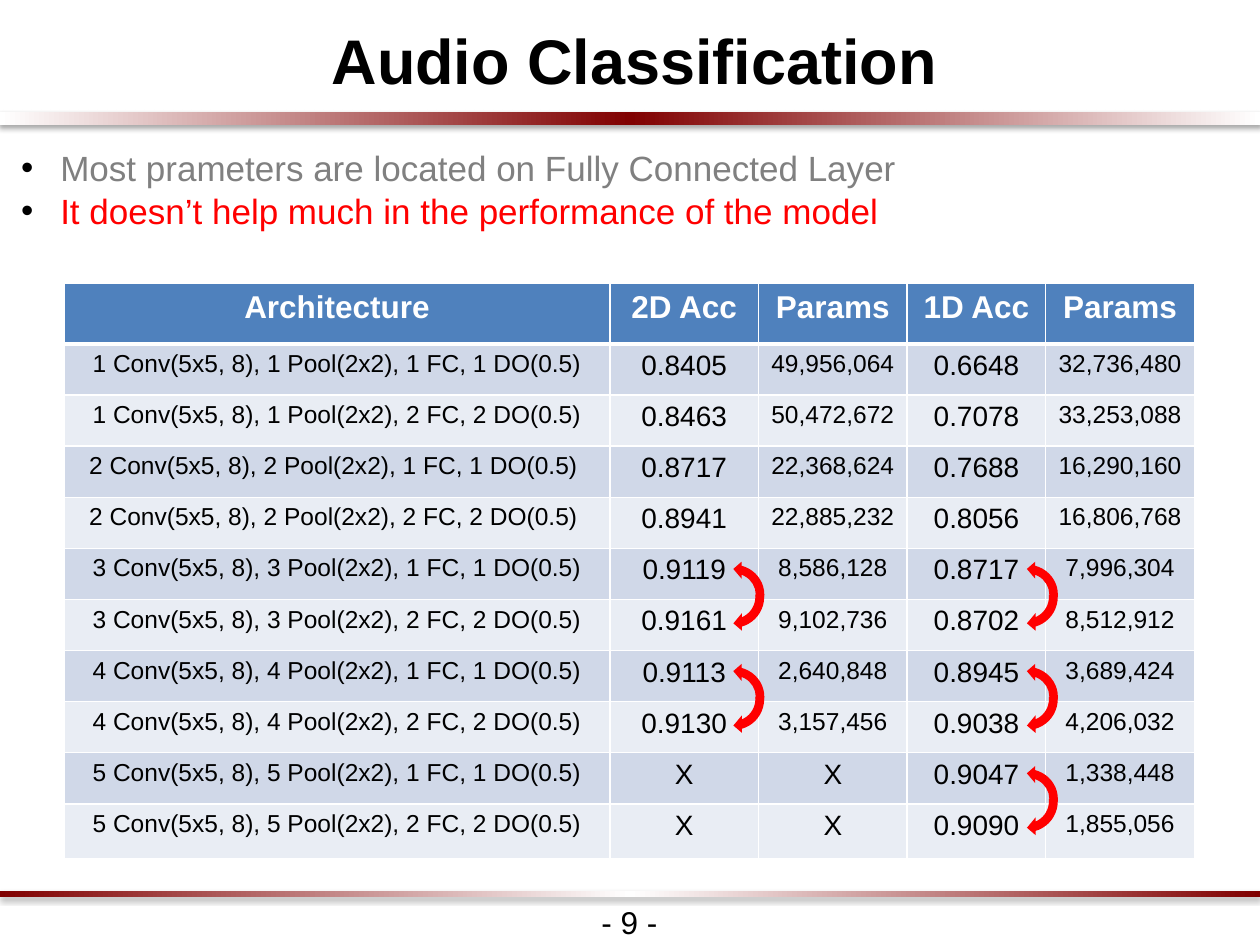
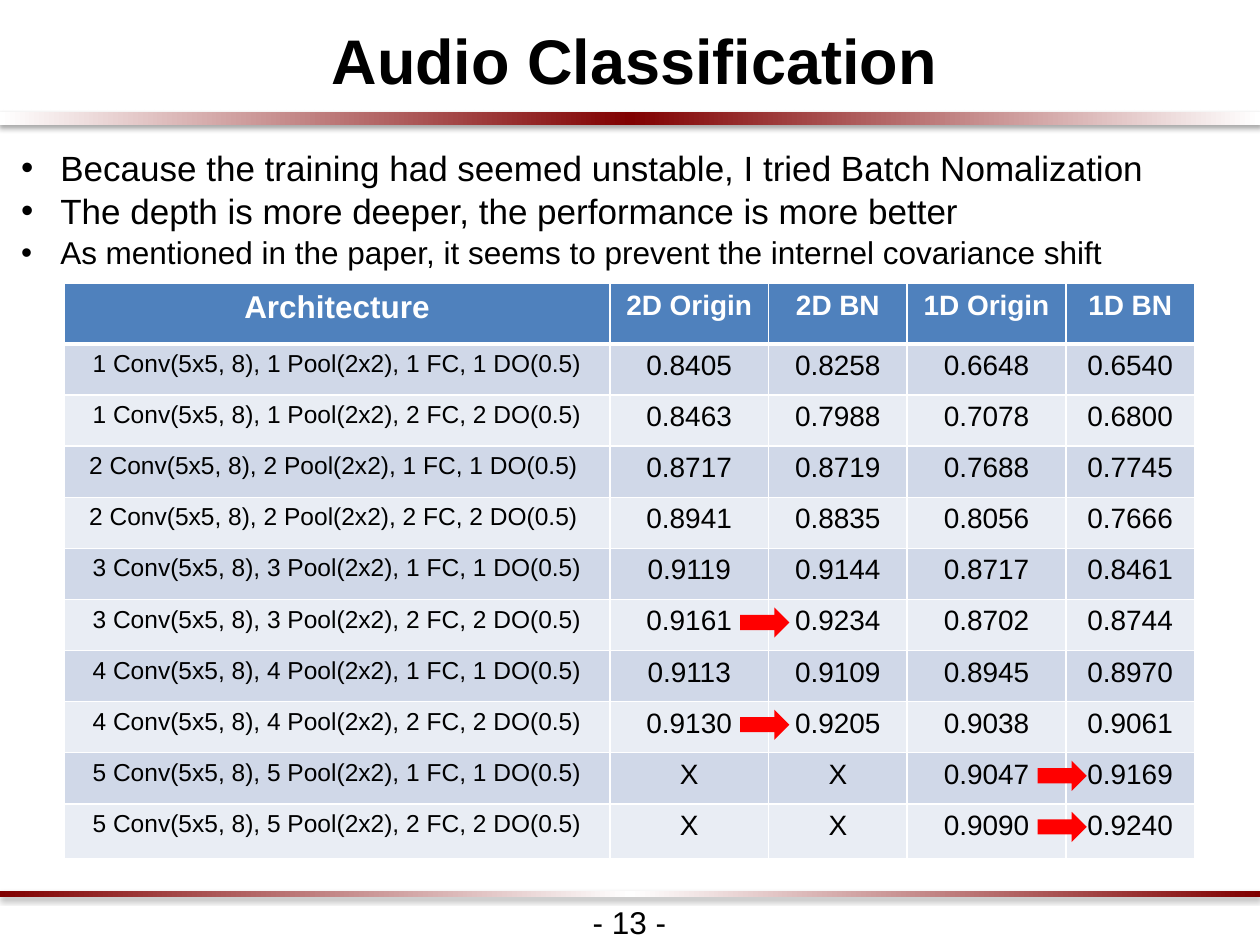
from itertools import product

from lxml.etree import SubElement
from pptx import Presentation
from pptx.dml.color import RGBColor
from pptx.enum.shapes import MSO_SHAPE
from pptx.enum.text import MSO_ANCHOR, PP_ALIGN
from pptx.oxml import parse_xml
from pptx.oxml.ns import nsdecls, qn
from pptx.util import Inches, Pt

FONT = "Arial"
BLACK, WHITE, GREY, RED, MAROON = "000000", "FFFFFF", "808080", "FF0000", "800000"
HEADER, BANDS = "4F81BD", ("E9EDF4", "D0D8E8")
TABLE_BOX = (0.51, 2.25, 8.98, 4.57)
HEAD_H, LAST_H, BODY_ROWS = 0.48, 0.44, 10
ROW_H = (TABLE_BOX[3] - HEAD_H - LAST_H) / (BODY_ROWS - 1)

ACC_2D = ["0.8405", "0.8463", "0.8717", "0.8941", "0.9119",
          "0.9161", "0.9113", "0.9130", "X", "X"]
ACC_1D = ["0.6648", "0.7078", "0.7688", "0.8056", "0.8717",
          "0.8702", "0.8945", "0.9038", "0.9047", "0.9090"]
PARAMS_2D = ["49,956,064", "50,472,672", "22,368,624", "22,885,232", "8,586,128",
             "9,102,736", "2,640,848", "3,157,456", "X", "X"]
PARAMS_1D = ["32,736,480", "33,253,088", "16,290,160", "16,806,768", "7,996,304",
             "8,512,912", "3,689,424", "4,206,032", "1,338,448", "1,855,056"]
BN_2D = ["0.8258", "0.7988", "0.8719", "0.8835", "0.9144",
         "0.9234", "0.9109", "0.9205", "X", "X"]
BN_1D = ["0.6540", "0.6800", "0.7745", "0.7666", "0.8461",
         "0.8744", "0.8970", "0.9061", "0.9169", "0.9240"]


def rgb(hex_color):
    """Turn a hex string into a colour."""
    return RGBColor.from_string(hex_color)


def inches(*lengths):
    """Convert a box or a point to slide units."""
    return [Inches(v) for v in lengths]


def style(p, size, color=BLACK, bold=False, align=None):
    """Format a paragraph and its runs."""
    p.alignment = align
    for r in p.runs:
        r.font.name, r.font.size, r.font.bold = FONT, Pt(size), bold
        r.font.color.rgb = rgb(color)


def indent(p, left, first=0):
    """Set the left margin and first-line indent of a paragraph."""
    pPr = p._p.get_or_add_pPr()
    pPr.set("marL", str(Inches(left)))
    pPr.set("indent", str(Inches(first)))
    return pPr


def add_band(s, layout, top, height, edge, middle):
    """Put a mirrored gradient band with a soft shadow on the layout."""
    sp = s.shapes.add_shape(MSO_SHAPE.RECTANGLE, *inches(0, top, 10, height))
    sp.line.fill.background()
    sp.shadow.inherit = False
    spPr = sp.element.spPr
    stops = "".join(f'<a:gs pos="{pos}"><a:srgbClr val="{c}"/></a:gs>'
                    for pos, c in ((0, edge), (50000, middle), (100000, edge)))
    spPr.find(qn("a:prstGeom")).addnext(parse_xml(
        f'<a:gradFill {nsdecls("a")}><a:gsLst>{stops}</a:gsLst><a:lin ang="0"/></a:gradFill>'))
    spPr.find(qn("a:effectLst")).append(parse_xml(
        f'<a:outerShdw {nsdecls("a")} blurRad="{Pt(3.1)}" dist="{Pt(1.8)}" dir="5400000" '
        f'rotWithShape="0"><a:srgbClr val="{BLACK}"><a:alpha val="35000"/></a:srgbClr></a:outerShdw>'))
    layout.shapes.element.append(sp.element)


def add_title(s, text):
    """Place and format the title placeholder."""
    sp = s.shapes.title
    sp.left, sp.top, sp.width, sp.height = inches(-0.23, 0.03, 10.45, 0.79)
    tf = sp.text_frame
    tf.text = text
    tf.vertical_anchor = MSO_ANCHOR.MIDDLE
    tf.margin_left = tf.margin_right = tf.margin_top = tf.margin_bottom = Inches(0.1)
    p = tf.paragraphs[0]
    p.line_spacing = 1.15
    indent(p, 0.08)
    style(p, 36, bold=True, align=PP_ALIGN.CENTER)


def add_bullets(s, box, items):
    """Write (text, size, colour) items as a bulleted list."""
    tf = s.shapes.add_textbox(*inches(*box)).text_frame
    tf.word_wrap = True
    tf.text = "\n".join(text for text, _, _ in items)
    for p, (_, size, color) in zip(tf.paragraphs, items):
        p.space_before = Pt(1)
        style(p, size, color)
        pPr = indent(p, 0.31, -0.31)
        SubElement(SubElement(pPr, qn("a:buClr")), qn("a:srgbClr")).set("val", BLACK)
        SubElement(pPr, qn("a:buFont")).set("typeface", FONT)
        SubElement(pPr, qn("a:buChar")).set("char", "•")


def add_page_number(s, number):
    """Write the centred page number under the lower band."""
    tf = s.shapes.add_textbox(*inches(4.5, 7.12, 0.99, 0.4)).text_frame
    tf.word_wrap = False
    tf.text = f"- {number} -"
    style(tf.paragraphs[0], 18, align=PP_ALIGN.CENTER)


def architectures():
    """List the network names, with one and two dense layers per depth."""
    return [f"{n} Conv(5x5, 8), {n} Pool(2x2), {fc} FC, {fc} DO(0.5)" + " " * (n == 2)
            for n, fc in product(range(1, 6), (1, 2))]


def set_borders(cell, top, bottom):
    """Draw white borders around a cell."""
    tcPr = cell._tc.get_or_add_tcPr()
    for side, width in (("L", 1), ("R", 1), ("T", top), ("B", bottom)):
        tcPr.append(parse_xml(
            f'<a:ln{side} {nsdecls("a")} w="{Pt(width)}"><a:solidFill>'
            f'<a:srgbClr val="{WHITE}"/></a:solidFill></a:ln{side}>'))


def add_results(s, widths, heads, head_size, columns):
    """Fill the results table from its columns."""
    rows = [heads, *zip(architectures(), *columns)]
    table = s.shapes.add_table(len(rows), len(widths), *inches(*TABLE_BOX)).table
    for col, width in zip(table.columns, widths):
        col.width = Inches(width)
    for i, values in enumerate(rows):
        table.rows[i].height = Inches({0: HEAD_H, BODY_ROWS: LAST_H}.get(i, ROW_H))
        for j, value in enumerate(values):
            cell = table.cell(i, j)
            cell.text = value
            set_borders(cell, 3 if i == 1 else 1, 3 if i == 0 else 1)
            cell.fill.solid()
            cell.fill.fore_color.rgb = rgb(BANDS[i % 2] if i else HEADER)
            if i:
                size = 14 if j == 0 or "," in value else 16
            else:
                size = head_size if j else 18
            style(cell.text_frame.paragraphs[0], size, BLACK if i else WHITE,
                  i == 0, PP_ALIGN.CENTER)


def grid_point(widths, column, row):
    """Find the right edge of a column at a number of body rows down."""
    left, top = TABLE_BOX[:2]
    return left + sum(widths[:column + 1]), top + HEAD_H + row * ROW_H


def add_arrow(shapes, kind, cx, cy, width, height):
    """Add a plain red arrow centred on a point."""
    sp = shapes.add_shape(kind, *inches(cx - width / 2, cy - height / 2, width, height))
    sp.shadow.inherit = False
    sp.fill.solid()
    sp.fill.fore_color.rgb = rgb(RED)
    sp.line.fill.background()
    return sp


def add_swap_arrow(s, cx, cy):
    """Join two mirrored circular arrows into one two-headed arc."""
    shapes = s.shapes.add_group_shape().shapes
    for width, dy, end, flip in ((0.56, 0, 158.52, False), (0.54, -0.02, 158.64, True)):
        sp = add_arrow(shapes, MSO_SHAPE.CIRCULAR_ARROW, cx, cy + dy, width, 0.56)
        sp.rotation = 90
        for i, value in enumerate((0.125, 11.42, 204.58, end, 0.125)):
            sp.adjustments[i] = value
        if flip:
            sp.element.spPr.find(qn("a:xfrm")).set("flipH", "1")


def new_slide(prs, layout, number, bullets_height, bullets):
    """Start a slide with its title, bullets and page number."""
    s = prs.slides.add_slide(layout)
    add_title(s, "Audio Classification")
    add_bullets(s, (0.07, 1.11, 9.42, bullets_height), bullets)
    add_page_number(s, number)
    return s


def params_slide(prs, layout):
    """Compare accuracy with the number of parameters."""
    s = new_slide(prs, layout, 9, 4.45, [
        ("Most prameters are located on Fully Connected Layer", 20, GREY),
        ("It doesn’t help much in the performance of the model", 20, RED)])
    widths = (4.33, 1.18, 1.18, 1.1, 1.18)
    add_results(s, widths, ("Architecture", "2D Acc", "Params", "1D Acc", "Params"), 18,
                (ACC_2D, PARAMS_2D, ACC_1D, PARAMS_1D))
    for column, dx, rows in ((1, -0.2, (5, 7)), (3, -0.15, (5, 7, 9))):
        for row in rows:
            x, y = grid_point(widths, column, row)
            add_swap_arrow(s, x + dx, y - 0.02)
    return s


def batch_norm_slide(prs, layout):
    """Compare accuracy with and without batch normalization."""
    s = new_slide(prs, layout, 13, 1.06, [
        ("Because the training had seemed unstable, I tried Batch Nomalization", 20, BLACK),
        ("The depth is more deeper, the performance is more better", 20, BLACK),
        ("As mentioned in the paper, it seems to prevent the internel covariance shift", 18, BLACK)])
    widths = (4.33, 1.26, 1.1, 1.26, 1.02)
    add_results(s, widths, ("Architecture", "2D Origin", "2D BN", "1D Origin", "1D BN"), 16,
                (ACC_2D, BN_2D, ACC_1D, BN_1D))
    for column, row in ((1, 8), (1, 6), (3, 9), (3, 10)):
        x, y = grid_point(widths, column, row - 0.5)
        add_arrow(s.shapes, MSO_SHAPE.RIGHT_ARROW, x - 0.03, y - 0.02, 0.39, 0.24)


def main():
    """Build and save the presentation."""
    prs = Presentation()
    prs.slide_width, prs.slide_height = inches(10, 7.5)
    layout = prs.slide_layouts[5]
    s = params_slide(prs, layout)
    add_band(s, layout, 0.89, 0.1, WHITE, MAROON)
    add_band(s, layout, 7.07, 0.05, MAROON, WHITE)
    batch_norm_slide(prs, layout)
    prs.save("out.pptx")


if __name__ == "__main__":
    main()
